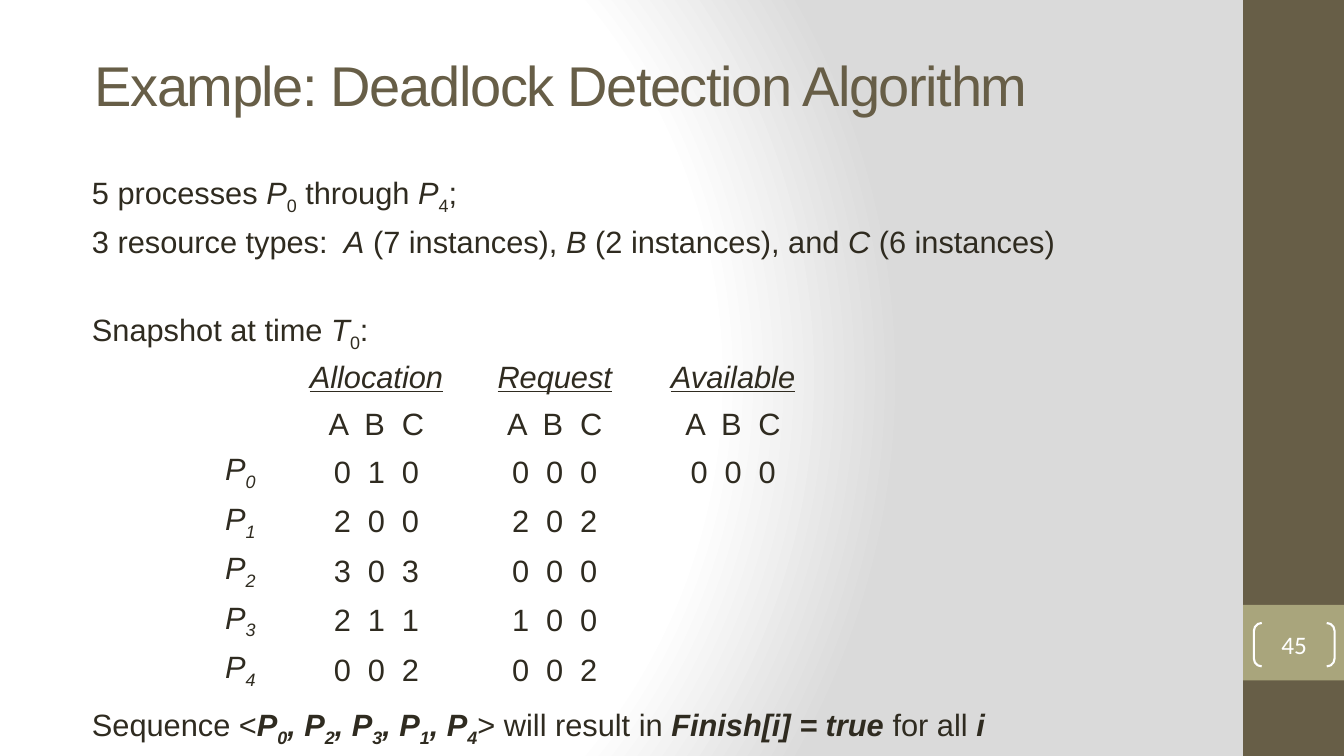
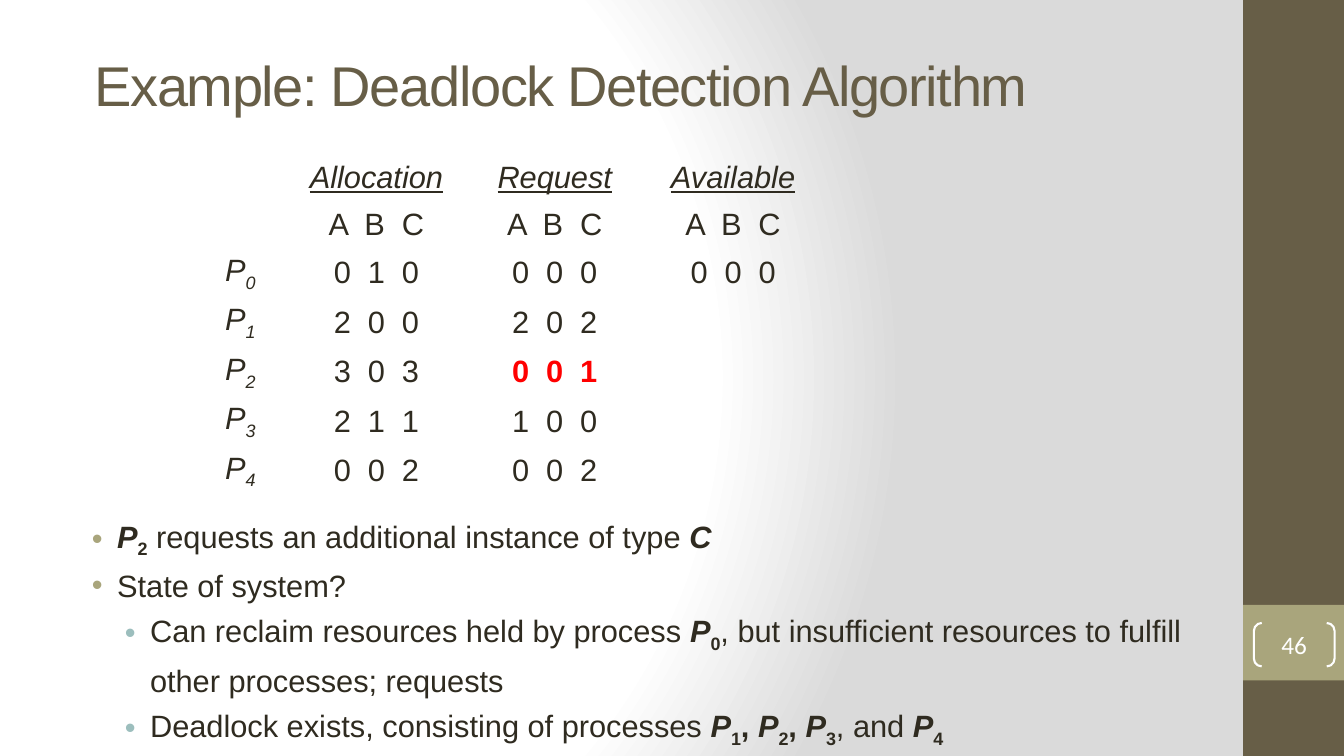
from lxml import etree
from pptx import Presentation
from pptx.dml.color import RGBColor
from pptx.enum.shapes import MSO_SHAPE as Preset
from pptx.enum.text import MSO_ANCHOR as Anchor, MSO_AUTO_SIZE as AutoSize, PP_ALIGN as Align
from pptx.oxml import parse_xml
from pptx.oxml.ns import nsdecls, qn
from pptx.util import Pt

# Shared look
BROWN, OLIVE, TEAL = "675E47", "A9A57C", "9CBEBD"
INK, WHITE, GREY, RED = "2F2B20", "FFFFFF", "DADADA", "FF0000"
SLIDE_WIDTH, SLIDE_HEIGHT = 960, 540
BAND_LEFT, BAND_WIDTH = 888, 72
TITLE_BOX = (60.5, 44, 785.5, 32.4)
NUMBER_BOX = (895.7, 445, 57.6, 31)
BODY_LEFT, BODY_WIDTH = 58.5, 813
TABLE_LEFT = 138.2
COLUMN_WIDTHS = (67, 127.4, 127.4, 127.4, 127.4)
HEADER_ROW, PROCESS_ROW = 33.6, 35.3
TEXT_SIZE = 22
NO_TABLE_STYLE = "{2D5ABB26-0587-4C30-8999-92F81FD0307C}"

TITLE = "Example: Deadlock Detection Algorithm"
HEADINGS = ("Allocation", "Request", "Available")
ALLOCATION = ("0 1 0", "2 0 0", "3 0 3", "2 1 1", "0 0 2")
REQUEST = ("0 0 0", "2 0 2", "0 0 0", "1 0 0", "0 0 2")
CHANGED_REQUEST = REQUEST[:2] + ("0 0 1",) + REQUEST[3:]
AVAILABLE = ("0 0 0", "", "", "", "")


def rgb(color):
    return RGBColor.from_string(color)


def points(box):
    return [Pt(length) for length in box]


def place(shape, box):
    shape.left, shape.top, shape.width, shape.height = points(box)


def format_run(run, style="", color=INK, size=TEXT_SIZE, font="Arial", spacing=0):
    """Style letters: b bold, i italic, u underlined, s subscript."""
    run.font.name, run.font.size = font, Pt(size)
    run.font.color.rgb = rgb(color)
    run.font.bold, run.font.italic = "b" in style, "i" in style
    run.font.underline = "u" in style
    properties = run.font._element
    if "s" in style:
        properties.set("baseline", "-25000")
    if spacing:
        properties.set("spc", str(int(spacing * 100)))


def write_runs(paragraph, pieces, **look):
    for text, style in pieces:
        run = paragraph.add_run()
        run.text = text
        format_run(run, style, **look)


def process(number, letter_style="i", number_style="s"):
    return [("P", letter_style), (str(number), number_style)]


# Master: background and side bands
def add_background(master):
    master.background.fill.gradient()
    old_fill = next(master.element.iter(qn("a:gradFill")))
    stops = "".join(
        f'<a:gs pos="{position * 1000}"><a:srgbClr val="{color}"/></a:gs>'
        for position, color in ((0, WHITE), (75, WHITE), (100, GREY)))
    new_fill = parse_xml(
        f'<a:gradFill {nsdecls("a")} rotWithShape="1"><a:gsLst>{stops}</a:gsLst>'
        '<a:path path="circle"><a:fillToRect l="20000" t="50000" r="100000" b="50000"/>'
        '</a:path></a:gradFill>')
    old_fill.getparent().replace(old_fill, new_fill)


def add_bands(master, slide):
    """Draw the bands on a slide, then move them to the back of the master."""
    bands = ((0, SLIDE_HEIGHT, BROWN), (432, 54, OLIVE))
    for index, (top, height, color) in enumerate(bands):
        band = slide.shapes.add_shape(
            Preset.RECTANGLE, *points((BAND_LEFT, top, BAND_WIDTH, height)))
        band.shadow.inherit = False
        band.fill.solid()
        band.fill.fore_color.rgb = rgb(color)
        band.line.fill.background()
        master.shapes.element.insert(2 + index, band.element)


# Regions
def fill_title(slide):
    title = slide.shapes.title
    place(title, TITLE_BOX)
    frame = title.text_frame
    frame.auto_size = AutoSize.NONE
    frame.vertical_anchor = Anchor.MIDDLE
    frame.text = TITLE
    paragraph = frame.paragraphs[0]
    paragraph.alignment = Align.LEFT
    format_run(paragraph.runs[0], color=BROWN, size=40, spacing=-1)


def add_number(slide, number, box):
    brackets = slide.shapes.add_shape(Preset.DOUBLE_BRACKET, *points(box))
    brackets.adjustments[0] = 0.18
    brackets.shadow.inherit = False
    brackets.fill.background()
    brackets.line.color.rgb = rgb(WHITE)
    brackets.line.width = Pt(1.5)
    frame = brackets.text_frame
    frame.margin_left = frame.margin_right = frame.margin_top = frame.margin_bottom = 0
    frame.vertical_anchor = Anchor.MIDDLE
    frame.text = str(number)
    paragraph = frame.paragraphs[0]
    paragraph.alignment = Align.CENTER
    format_run(paragraph.runs[0], color=WHITE, size=18, font="Calibri")


def set_layout(paragraph, margin=0, indent=0, bullet_color=None, tab=None):
    properties = paragraph._p.get_or_add_pPr()
    properties.set("marL", str(Pt(margin)))
    properties.set("indent", str(Pt(indent)))
    if bullet_color:
        color = etree.SubElement(properties, qn("a:buClr"))
        etree.SubElement(color, qn("a:srgbClr"), val=bullet_color)
        etree.SubElement(properties, qn("a:buChar"), char="•")
    else:
        etree.SubElement(properties, qn("a:buNone"))
    if tab:
        tabs = etree.SubElement(properties, qn("a:tabLst"))
        etree.SubElement(tabs, qn("a:tab"), pos=str(Pt(tab)), algn="l")


def fill_body(slide, top, items):
    """Each item is (runs, space before, level, layout)."""
    body = slide.placeholders[1]
    place(body, (BODY_LEFT, top, BODY_WIDTH, SLIDE_HEIGHT - top))
    frame = body.text_frame
    frame.auto_size = AutoSize.NONE
    frame.vertical_anchor = Anchor.TOP
    for index, (pieces, space, level, layout) in enumerate(items):
        paragraph = frame.add_paragraph() if index else frame.paragraphs[0]
        paragraph.level = level
        set_layout(paragraph, **layout)
        paragraph.alignment = Align.LEFT
        paragraph.line_spacing = 1.2
        paragraph.space_before = Pt(space)
        write_runs(paragraph, pieces)


def add_snapshot_table(slide, top, request, changed=None):
    """Resource table; the request of the changed process is shown in red."""
    heights = [HEADER_ROW] * 2 + [PROCESS_ROW] * len(request)
    box = (TABLE_LEFT, top, sum(COLUMN_WIDTHS), sum(heights))
    frame = slide.shapes.add_table(len(heights), len(COLUMN_WIDTHS), *points(box))
    table = frame.table
    table.first_row = table.horz_banding = False
    next(frame.element.iter(qn("a:tableStyleId"))).text = NO_TABLE_STYLE
    for column, width in zip(table.columns, COLUMN_WIDTHS):
        column.width = Pt(width)
    for row, height in zip(table.rows, heights):
        row.height = Pt(height)
    for cell in table.iter_cells():
        cell.fill.background()
        cell.vertical_anchor = Anchor.MIDDLE

    def write(row, column, pieces, **look):
        paragraph = table.cell(row, column).text_frame.paragraphs[0]
        paragraph.alignment = Align.CENTER
        write_runs(paragraph, pieces, **look)

    for column, heading in enumerate(HEADINGS, 1):
        write(0, column, [(heading, "iu")])
        write(1, column, [("A B C", "")], spacing=3)
    for number, counts in enumerate(zip(ALLOCATION, request, AVAILABLE)):
        write(number + 2, 0, process(number, "i", "is"))
        for column, count in enumerate(counts, 1):
            if count:
                red = number == changed and column == 2
                write(number + 2, column, [(count, "b" if red else "")],
                      color=RED if red else INK, spacing=3)


# Slides
def start_slide(presentation, number):
    slide = presentation.slides.add_slide(presentation.slide_layouts[1])
    fill_title(slide)
    add_number(slide, number, NUMBER_BOX)
    return slide


def build_snapshot_slide(presentation):
    slide = start_slide(presentation, 45)
    sequence = [("Sequence <", "")]
    for position, number in enumerate((0, 2, 3, 1, 4)):
        if position:
            sequence.append((", ", "bi"))
        sequence += process(number, "bi", "bis")
    sequence += [("> will result in ", ""), ("Finish[i] = true ", "bi"),
                 ("for all ", ""), ("i", "bi")]
    fill_body(slide, 114.5, [
        ([("5 processes ", ""), *process(0), (" through ", ""), *process(4), (";", "")],
         0, 0, {}),
        ([("3 resource types:\t", ""), ("A", "i"), (" (7 instances), ", ""), ("B", "i"),
          (" (2 instances), and ", ""), ("C", "i"), (" (6 instances)", "")],
         0, 0, {"tab": 240}),
        ([("Snapshot at time ", ""), ("T", "i"), ("0", "s"), (":", "")], 30.4, 0, {}),
        (sequence, 246, 0, {}),
    ])
    add_snapshot_table(slide, 252.7, REQUEST)
    return slide


def build_request_slide(presentation):
    slide = start_slide(presentation, 46)
    main = {"margin": 18, "indent": -18, "bullet_color": OLIVE}
    detail = {"margin": 41.5, "indent": -18, "bullet_color": TEAL}

    def bold(number):
        return process(number, "bi", "bs")

    fill_body(slide, 360, [
        ([*bold(2), (" requests an additional instance of type ", ""), ("C", "bi")],
         0, 0, main),
        ([("State of system?", "")], 0, 0, main),
        ([("Can reclaim resources held by process ", ""), *bold(0),
          (", but insufficient resources to fulfill other processes; requests", "")],
         0, 1, detail),
        ([("Deadlock exists, consisting of processes ", ""), *bold(1), (", ", "b"),
          *bold(2), (", ", "b"), *bold(3), (", and ", ""), *bold(4)], 0, 1, detail),
    ])
    add_snapshot_table(slide, 110.2, CHANGED_REQUEST, changed=2)


def main():
    presentation = Presentation()
    presentation.slide_width, presentation.slide_height = Pt(SLIDE_WIDTH), Pt(SLIDE_HEIGHT)
    master = presentation.slide_master
    add_background(master)
    first_slide = build_snapshot_slide(presentation)
    add_bands(master, first_slide)
    build_request_slide(presentation)
    presentation.save("out.pptx")


if __name__ == "__main__":
    main()
